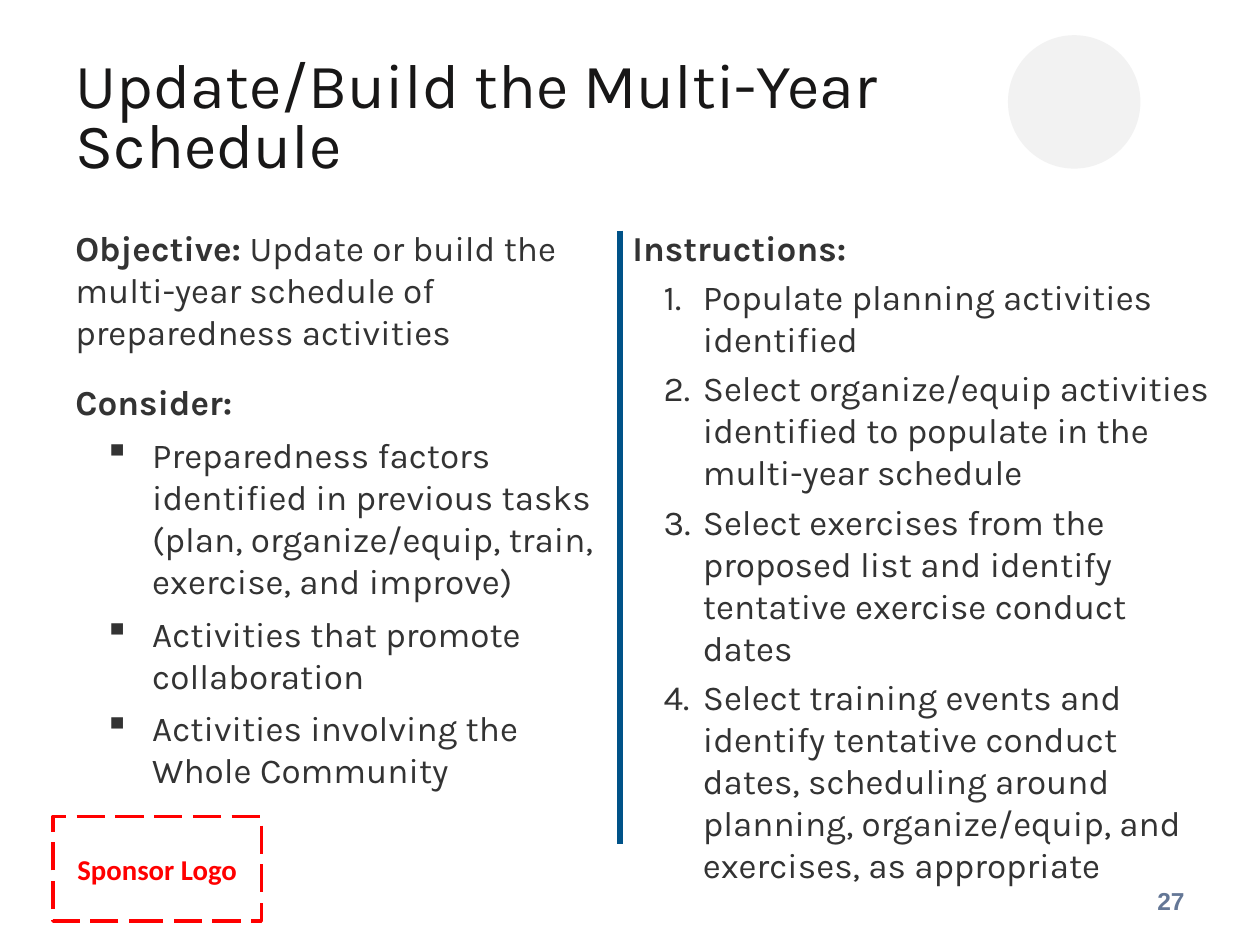
from dataclasses import dataclass

from lxml.etree import SubElement
from pptx import Presentation
from pptx.dml.color import RGBColor
from pptx.enum.dml import MSO_LINE
from pptx.enum.shapes import MSO_CONNECTOR, MSO_SHAPE
from pptx.enum.text import MSO_ANCHOR, MSO_AUTO_SIZE, PP_ALIGN
from pptx.oxml.ns import qn
from pptx.util import Cm, Pt

INK = "333333"
RED = "FF0000"


@dataclass
class Item:
    text: str = ""
    lead: str = ""
    before: float = 0
    after: float = 0
    mark: str = ""
    left: float = 0
    hang: float = 0


def bullet(text: str) -> Item:
    return Item(text, before=6, mark="▪", left=1.55, hang=0.97)


def step(text: str) -> Item:
    return Item(text, before=4, mark="1.", left=1.42, hang=0.79)


def color(code: str) -> RGBColor:
    return RGBColor.from_string(code)


def place(left: float, top: float, width: float, height: float) -> tuple:
    return Cm(left), Cm(top), Cm(width), Cm(height)


def write(para, text: str, size: float = 20, font: str = "Karla",
          ink: str = INK, bold: bool = False) -> None:
    run = para.add_run()
    run.text = text
    run.font.size = Pt(size)
    run.font.name = font
    run.font.bold = bold
    run.font.color.rgb = color(ink)


def indent(para, item: Item) -> None:
    """Give the paragraph a hanging indent with a bullet or a number."""
    para.level = 1
    props = para._p.get_or_add_pPr()
    props.set("marL", str(Cm(item.left)))
    props.set("indent", str(-Cm(item.hang)))
    if item.mark == "1.":
        SubElement(props, qn("a:buAutoNum"), type="arabicPeriod")
    else:
        SubElement(props, qn("a:buChar"), char=item.mark)


def column(slide, box: tuple, items: list[Item]) -> None:
    frame = slide.shapes.add_textbox(*box).text_frame
    frame.word_wrap = True
    for i, item in enumerate(items):
        para = frame.add_paragraph() if i else frame.paragraphs[0]
        para.space_before = Pt(item.before)
        para.space_after = Pt(item.after)
        if item.mark:
            indent(para, item)
        if item.lead:
            write(para, item.lead, bold=True)
        if item.text:
            write(para, item.text)


def head(slide, text: str) -> None:
    title = slide.shapes.title
    title.left, title.top, title.width, title.height = place(1.27, 0.84, 19.74, 3.18)
    frame = title.text_frame
    frame.auto_size = MSO_AUTO_SIZE.NONE
    frame.vertical_anchor = MSO_ANCHOR.MIDDLE
    para = frame.paragraphs[0]
    para.alignment = PP_ALIGN.LEFT
    para.line_spacing = 0.8
    write(para, text, size=36, ink="181717")


def divider(slide) -> None:
    line = slide.shapes.add_connector(
        MSO_CONNECTOR.STRAIGHT, Cm(12.5), Cm(4.65), Cm(12.5), Cm(17.02))
    line.line.color.rgb = color("005288")
    line.line.width = Pt(3.75)
    SubElement(line._element.spPr, qn("a:effectLst"))


def disc(slide) -> None:
    shape = slide.shapes.add_shape(MSO_SHAPE.OVAL, *place(20.32, 0.71, 2.67, 2.69))
    shape.shadow.inherit = False
    shape.fill.solid()
    shape.fill.fore_color.rgb = color("F2F2F2")
    shape.line.fill.background()


def sponsor(slide) -> None:
    shape = slide.shapes.add_shape(MSO_SHAPE.RECTANGLE, *place(1.07, 16.46, 4.2, 2.11))
    shape.shadow.inherit = False
    shape.fill.background()
    shape.line.color.rgb = color(RED)
    shape.line.width = Pt(2)
    shape.line.dash_style = MSO_LINE.LONG_DASH
    frame = shape.text_frame
    frame.vertical_anchor = MSO_ANCHOR.MIDDLE
    para = frame.paragraphs[0]
    para.alignment = PP_ALIGN.CENTER
    write(para, "Sponsor Logo", size=16.4, font="Calibri", ink=RED, bold=True)


def number(slide, text: str) -> None:
    frame = slide.shapes.add_textbox(*place(18.21, 17.65, 5.92, 1.02)).text_frame
    frame.word_wrap = True
    frame.vertical_anchor = MSO_ANCHOR.MIDDLE
    para = frame.paragraphs[0]
    para.alignment = PP_ALIGN.RIGHT
    write(para, text, size=14, font="Arial", ink="647796", bold=True)


def main() -> None:
    deck = Presentation()
    deck.slide_width, deck.slide_height = Cm(25.4), Cm(19.05)
    slide = deck.slides.add_slide(deck.slide_layouts[5])
    sponsor(slide)
    head(slide, "Update/Build the Multi-Year Schedule")
    column(slide, place(1.27, 4.45, 11.23, 12.57), [
        Item(" Update or build the multi-year schedule of preparedness activities",
             lead="Objective:", after=12),
        Item(lead="Consider:", before=4),
        bullet("Preparedness factors identified in previous tasks "
               "(plan, organize/equip, train, exercise, and improve)"),
        bullet("Activities that promote collaboration"),
        bullet("Activities involving the Whole Community"),
    ])
    column(slide, place(12.5, 4.45, 12.27, 12.57), [
        Item(lead="Instructions:"),
        step("Populate planning activities identified"),
        step("Select organize/equip activities identified to populate in the "
             "multi-year schedule"),
        step("Select exercises from the proposed list and identify tentative "
             "exercise conduct dates"),
        step("Select training events and identify tentative conduct dates, "
             "scheduling around planning, organize/equip, and exercises, "
             "as appropriate"),
    ])
    divider(slide)
    disc(slide)
    number(slide, "27")
    deck.save("out.pptx")


if __name__ == "__main__":
    main()
